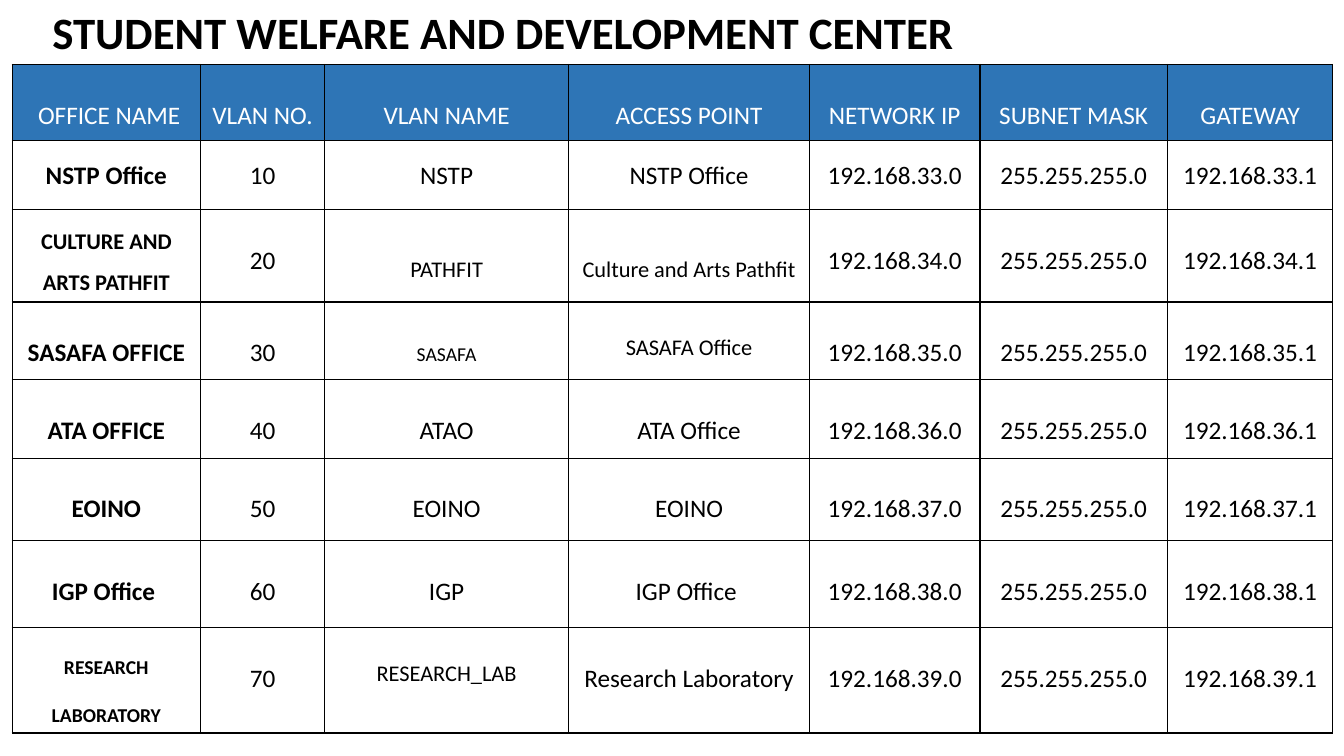
from lxml import etree
from pptx import Presentation, util as u
from pptx.dml.color import RGBColor
from pptx.enum import text
from pptx.oxml.ns import qn

PX = 9144
COLORS = {"header": "2E75B6", "header_text": "FFFFFF", "text": "000000", "border": "000000"}


class SlideBuilder:
    font_name = "Calibri"
    border_width = 12700

    def __init__(self, slide):
        self.slide = slide

    def color(self, name):
        return RGBColor.from_string(COLORS[name])

    def style(self, paragraph, size, color="text", bold=False):
        font = paragraph.font
        font.name = self.font_name
        font.size = u.Pt(size)
        font.bold = bold
        font.color.rgb = self.color(color)

    def title(self, left, top, width, height, words):
        shape = self.slide.shapes.add_textbox(*(v * PX for v in (left, top, width, height)))
        frame = shape.text_frame
        frame.word_wrap = True
        frame.auto_size = text.MSO_AUTO_SIZE.SHAPE_TO_FIT_TEXT
        paragraph = frame.paragraphs[0]
        paragraph.text = words
        self.style(paragraph, 32, bold=True)

    def borders(self, cell):
        properties = cell._tc.get_or_add_tcPr()
        for index, side in enumerate(("lnL", "lnR", "lnT", "lnB")):
            line = etree.Element(qn(f"a:{side}"), w=str(self.border_width))
            fill = etree.SubElement(line, qn("a:solidFill"))
            etree.SubElement(fill, qn("a:srgbClr"), val=COLORS["border"])
            properties.insert(index, line)

    def cell(self, cell, words, size, spacing, header, bold):
        paragraph = cell.text_frame.paragraphs[0]
        paragraph.text = words
        paragraph.alignment = text.PP_ALIGN.CENTER
        paragraph.line_spacing = spacing
        self.style(paragraph, size, "header_text" if header else "text", bold)
        if header:
            cell.fill.solid()
            cell.fill.fore_color.rgb = self.color("header")
        else:
            cell.fill.background()
        self.borders(cell)

    def table(self, left, top, widths, heights, rows, sizes, spacings):
        frame = self.slide.shapes.add_table(
            len(heights), len(widths), left * PX, top * PX, sum(widths) * PX, sum(heights) * PX)
        table = frame.table
        table.first_row = table.horz_banding = False
        for column, width in zip(table.columns, widths):
            column.width = width * PX
        for row, height in zip(table.rows, heights):
            row.height = height * PX
        for r, row in enumerate(rows):
            for c, words in enumerate(row):
                self.cell(table.cell(r, c), words, sizes.get((r, c), 18),
                          spacings.get((r, c), 1.5 if r == 1 else 2),
                          header=r == 0, bold=r > 0 and c == 0)


HEADINGS = [" OFFICE NAME", "VLAN NO.", "VLAN NAME", "ACCESS POINT",
            "NETWORK IP", "SUBNET MASK", "GATEWAY"]
OFFICES = [
    ("NSTP Office", " NSTP ", "NSTP Office"),
    ("CULTURE AND ARTS PATHFIT", "PATHFIT", "Culture and Arts Pathfit"),
    ("SASAFA OFFICE", "SASAFA", "SASAFA Office"),
    ("ATA OFFICE", "ATAO", "ATA Office"),
    ("EOINO", "EOINO", "EOINO"),
    ("IGP Office ", "IGP", "IGP Office "),
    ("RESEARCH LABORATORY", "RESEARCH_LAB", "Research Laboratory"),
]
COLUMN_WIDTHS = [187, 123, 242, 239, 169, 186, 164]
ROW_HEIGHTS = [75, 69, 81, 77, 78, 82, 86, 86]
CELL_SIZES = {(2, 0): 16, (2, 2): 16, (2, 3): 16, (3, 2): 14, (3, 3): 16, (7, 0): 14, (7, 2): 16}
CELL_SPACINGS = {(2, 0): 1.5, (2, 2): 2.5, (2, 3): 2.5, (3, 2): 2.5}


def main():
    presentation = Presentation()
    presentation.slide_width = 1333 * PX
    presentation.slide_height = 750 * PX
    builder = SlideBuilder(presentation.slides.add_slide(presentation.slide_layouts[6]))
    rows = [HEADINGS]
    for number, (office, vlan, access_point) in enumerate(OFFICES, 1):
        network = f"192.168.{32 + number}"
        rows.append([office, str(number * 10), vlan, access_point,
                     f"{network}.0", "255.255.255.0", f"{network}.1"])
    builder.table(12, 64, COLUMN_WIDTHS, ROW_HEIGHTS, rows, CELL_SIZES, CELL_SPACINGS)
    builder.title(42, 0, 988, 64, "STUDENT WELFARE AND DEVELOPMENT CENTER")
    presentation.save("out.pptx")


if __name__ == "__main__":
    main()
